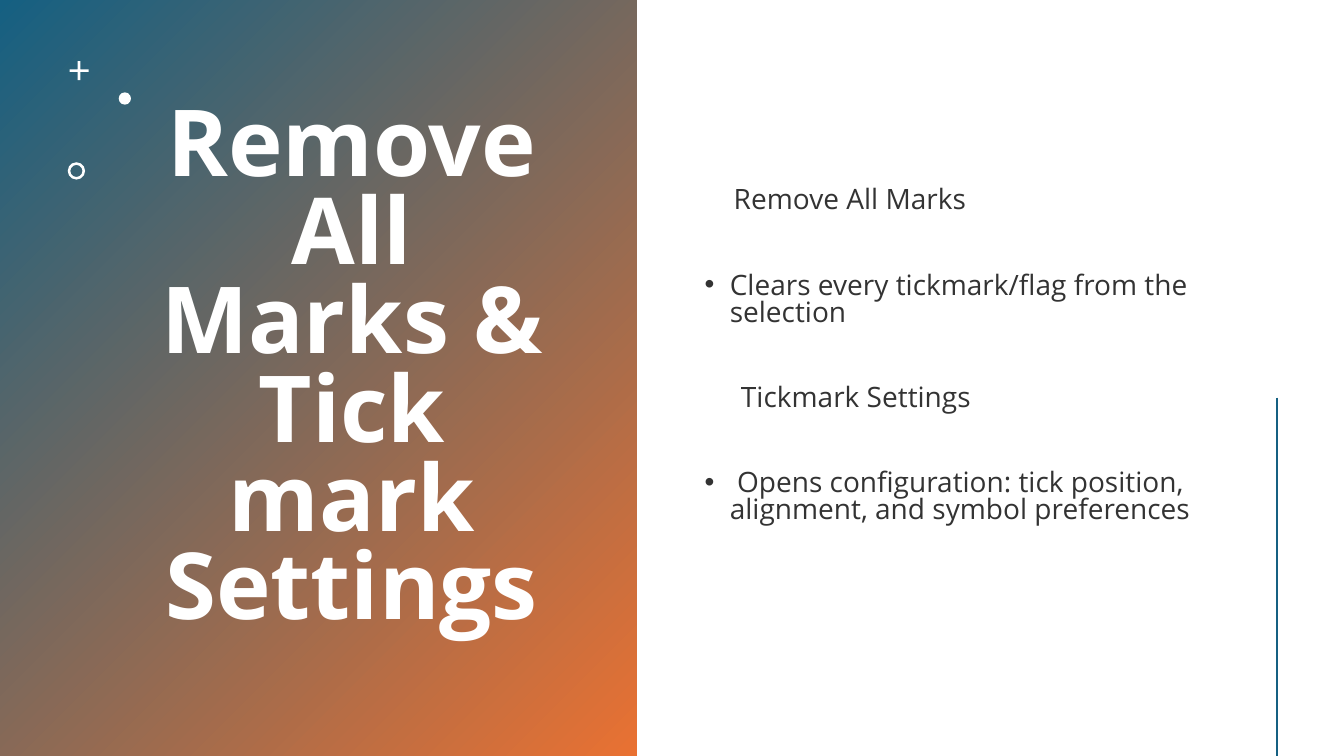
from lxml import etree
from pptx import Presentation
from pptx.dml.color import RGBColor
from pptx.enum import shapes, text
from pptx.oxml import ns
from pptx.util import Pt

COLORS = {"blue": "156082", "orange": "E97132", "white": "FFFFFF", "ink": "333333"}
FONT = "Open Sans"
HEADING, BULLET = "heading", "bullet"
TITLE = "Remove All Marks & Tick mark Settings"
# kind, wording, left margin, first-line indent
BODY = [
    (HEADING, "Remove All Marks", 20.8, 0),
    (BULLET, "Clears every tickmark/flag from the selection", 18, -18),
    (HEADING, "Tickmark Settings", 26, 0),
    (BULLET, " Opens configuration: tick position, alignment, and symbol preferences", 18, -18),
]
# preset, left, top, size, adjustment
ORNAMENTS = [
    (shapes.MSO_SHAPE.CROSS, 49.7, 43.7, 13.6, 0.43),
    (shapes.MSO_SHAPE.OVAL, 84.8, 66, 8.8, None),
    (shapes.MSO_SHAPE.DONUT, 48.4, 115.9, 12.4, 0.15),
]


def rgb(name):
    return RGBColor.from_string(COLORS[name])


def apply(target, values):
    for attribute, value in values.items():
        setattr(target, attribute, value)


def place(placeholder, left, top, width, height):
    apply(placeholder, {"left": Pt(left), "top": Pt(top),
                        "width": Pt(width), "height": Pt(height)})
    apply(placeholder.text_frame, {
        "word_wrap": True, "auto_size": text.MSO_AUTO_SIZE.NONE,
        "vertical_anchor": text.MSO_ANCHOR.MIDDLE})


def write(paragraph, wording, size, color, bold, **layout):
    run = paragraph.add_run()
    run.text = wording
    apply(run.font, {"name": FONT, "size": Pt(size), "bold": bold})
    run.font.color.rgb = rgb(color)
    apply(paragraph, {"line_spacing": 0.8, **layout})


def set_bullet(paragraph, kind, margin, indent):
    properties = paragraph._p.get_or_add_pPr()
    properties.set("marL", str(Pt(margin)))
    properties.set("indent", str(Pt(indent)))
    if kind == BULLET:
        etree.SubElement(properties, ns.qn("a:buFont")).set("typeface", "Arial")
        etree.SubElement(properties, ns.qn("a:buChar")).set("char", "•")
    else:
        etree.SubElement(properties, ns.qn("a:buNone"))


def add_title(slide):
    title = slide.shapes.title
    place(title, 93.6, 30.2, 315.4, 470.2)
    write(title.text_frame.paragraphs[0], TITLE, 66, "white", True,
          alignment=text.PP_ALIGN.CENTER)


def add_body(slide):
    body = slide.placeholders[1]
    place(body, 496.1, 41, 375.8, 459.4)
    frame = body.text_frame
    frame.margin_bottom = Pt(35.4)
    for number, (kind, wording, margin, indent) in enumerate(BODY):
        paragraph = frame.add_paragraph() if number else frame.paragraphs[0]
        write(paragraph, wording, 20, "ink", False,
              alignment=text.PP_ALIGN.LEFT, space_before=Pt(41.8 if number else 10))
        set_bullet(paragraph, kind, margin, indent)


def add_gradient_panel(slide):
    panel = slide.shapes.add_shape(shapes.MSO_SHAPE.RECTANGLE, 0, 0, Pt(455), Pt(540))
    panel.shadow.inherit = False
    panel.line.fill.background()
    panel.fill.gradient()
    panel.fill.gradient_angle = 315
    for stop, position, color in zip(panel.fill.gradient_stops, (0, 1), ("blue", "orange")):
        stop.position = position
        stop.color.rgb = rgb(color)
    slide.shapes._spTree.insert(2, panel._element)  # behind the placeholders


def add_ornaments(slide):
    group = slide.shapes.add_group_shape()
    for preset, left, top, size, adjustment in ORNAMENTS:
        ornament = group.shapes.add_shape(preset, Pt(left), Pt(top), Pt(size), Pt(size))
        ornament.shadow.inherit = False
        ornament.fill.solid()
        ornament.fill.fore_color.rgb = rgb("white")
        ornament.line.fill.background()
        if adjustment is not None:
            ornament.adjustments[0] = adjustment


def add_accent_line(slide):
    accent = slide.shapes.add_connector(
        shapes.MSO_CONNECTOR.STRAIGHT, Pt(912.2), Pt(284), Pt(912.2), Pt(540))
    accent.line.color.rgb = rgb("blue")
    accent.line.width = Pt(2)
    etree.SubElement(accent._element.spPr, ns.qn("a:effectLst"))


def main():
    deck = Presentation()
    apply(deck, {"slide_width": Pt(960), "slide_height": Pt(540)})
    slide = deck.slides.add_slide(deck.slide_layouts[1])
    add_gradient_panel(slide)
    add_title(slide)
    add_ornaments(slide)
    add_body(slide)
    add_accent_line(slide)
    deck.save("out.pptx")


if __name__ == "__main__":
    main()
